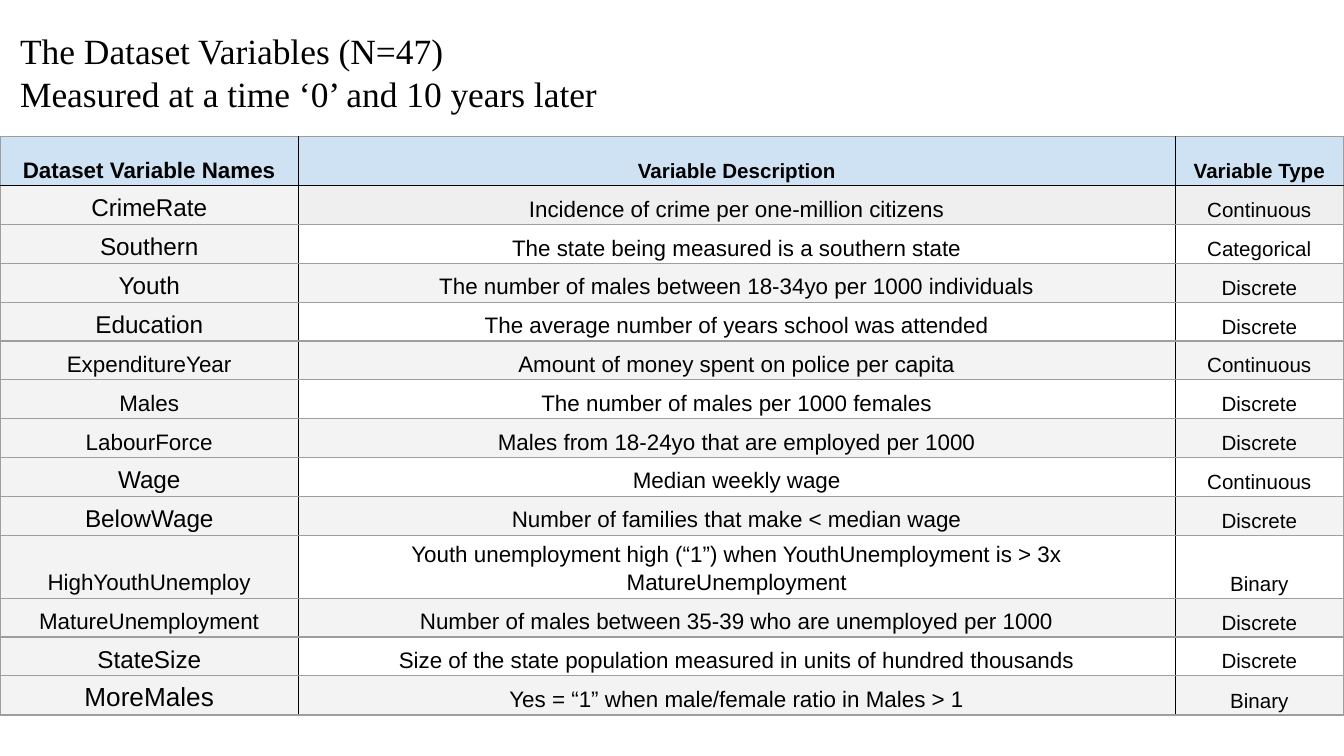
"""Build a slide that lists the variables of a crime dataset in a table."""
from dataclasses import dataclass

from lxml import etree
from pptx import Presentation
from pptx import util as u
from pptx.dml.color import RGBColor
from pptx.enum import text
from pptx.oxml.ns import qn


@dataclass(frozen=True)
class Theme:
    title_font: str = "Times New Roman"
    table_font: str = "Arial"
    ink: str = "000000"
    grid: str = "9E9E9E"
    header: str = "CFE2F3"
    first_row: str = "EFEFEF"
    band: str = "F3F3F3"
    plain: str = "FFFFFF"
    title_size: int = 19
    large: int = 13
    medium: int = 12
    small: int = 11
    last_name: int = 14
    border: float = 0.75


THEME = Theme()
COLUMN_WIDTHS = (5.64, 16.57, 3.18)
HEADER_HEIGHT = 0.93
BODY_HEIGHT = 9.55
HEADINGS = ("Dataset Variable Names", "Variable Description", "Variable Type")
VARIABLES = (
    ("CrimeRate", "Incidence of crime per one-million citizens", "Continuous"),
    ("Southern", "The state being measured is a southern state", "Categorical"),
    ("Youth", "The number of males between 18-34yo per 1000 individuals", "Discrete"),
    ("Education", "The average number of years school was attended", "Discrete"),
    ("ExpenditureYear", "Amount of money spent on police per capita", "Continuous"),
    ("Males", "The number of males per 1000 females", "Discrete"),
    ("LabourForce", "Males from 18-24yo that are employed per 1000", "Discrete"),
    ("Wage", "Median weekly wage", "Continuous"),
    ("BelowWage", "Number of families that make < median wage", "Discrete"),
    ("HighYouthUnemploy",
     "Youth unemployment high (“1”) when YouthUnemployment is > 3x MatureUnemployment",
     "Binary"),
    ("MatureUnemployment", "Number of males between 35-39 who are unemployed per 1000",
     "Discrete"),
    ("StateSize", "Size of the state population measured in units of hundred thousands",
     "Discrete"),
    ("MoreMales", "Yes = “1” when male/female ratio in Males > 1", "Binary"),
)
MEDIUM_NAMES = {"ExpenditureYear", "Males", "LabourForce", "HighYouthUnemploy",
                "MatureUnemployment"}


def write(frame, lines, *, font, size, bold=False, align=text.PP_ALIGN.LEFT, spacing=1.0):
    """Fill a text frame with one formatted paragraph per line."""
    for index, line in enumerate(lines):
        paragraph = frame.add_paragraph() if index else frame.paragraphs[0]
        paragraph.alignment = align
        paragraph.line_spacing = spacing
        run = paragraph.add_run()
        run.text = line
        run.font.name = font
        run.font.size = u.Pt(size)
        run.font.bold = bold
        run.font.color.rgb = RGBColor.from_string(THEME.ink)


def set_borders(cell, colors):
    """Draw the left, right, top and bottom borders of a cell."""
    properties = cell._tc.get_or_add_tcPr()
    for index, (side, color) in enumerate(zip(("lnL", "lnR", "lnT", "lnB"), colors)):
        line = etree.Element(qn(f"a:{side}"), w=str(u.Pt(THEME.border)))
        fill = etree.SubElement(line, qn("a:solidFill"))
        etree.SubElement(fill, qn("a:srgbClr"), val=color)
        properties.insert(index, line)


def cell_fill(row, column):
    """Return the fill colour for a table position."""
    if row == 0:
        return THEME.header
    if column == 0:
        return THEME.band
    if row == 1:
        return THEME.first_row
    return THEME.band if row % 2 else THEME.plain


def cell_size(row, column, value):
    """Return the type size for a table position."""
    if row == 0:
        return THEME.small if column else THEME.medium
    if column:
        return THEME.medium if column == 1 else THEME.small
    if row == len(VARIABLES):
        return THEME.last_name
    return THEME.medium if value in MEDIUM_NAMES else THEME.large


def format_cell(cell, row, column, value):
    """Write and style one table cell."""
    cell.fill.solid()
    cell.fill.fore_color.rgb = RGBColor.from_string(cell_fill(row, column))
    cell.vertical_anchor = text.MSO_ANCHOR.BOTTOM
    cell.margin_left = cell.margin_right = u.Cm(0.07)
    cell.margin_top = cell.margin_bottom = u.Cm(0.05)
    write(cell.text_frame, [value], font=THEME.table_font,
          size=cell_size(row, column, value), bold=row == 0,
          align=text.PP_ALIGN.CENTER, spacing=1.15)
    dark_sides = (column > 0, column < len(HEADINGS) - 1, row == 1, row == 0)
    set_borders(cell, [THEME.ink if dark else THEME.grid for dark in dark_sides])


def add_variable_table(slide):
    """Add the table of dataset variables."""
    rows = (HEADINGS, *VARIABLES)
    row_height = BODY_HEIGHT / len(VARIABLES)
    shape = slide.shapes.add_table(len(rows), len(HEADINGS), u.Cm(0), u.Cm(2.58),
                                   u.Cm(sum(COLUMN_WIDTHS)),
                                   u.Cm(HEADER_HEIGHT + BODY_HEIGHT))
    table = shape.table
    table.horz_banding = False
    for column, width in zip(table.columns, COLUMN_WIDTHS):
        column.width = u.Cm(width)
    for row, values in enumerate(rows):
        table.rows[row].height = u.Cm(row_height if row else HEADER_HEIGHT)
        for column, value in enumerate(values):
            format_cell(table.cell(row, column), row, column, value)


def set_title(slide, lines):
    """Place and write the slide title."""
    title = slide.shapes.title
    title.left, title.top = u.Cm(0.13), u.Cm(0.3)
    title.width, title.height = u.Cm(11.68), u.Cm(2)
    frame = title.text_frame
    frame.word_wrap = True
    frame.auto_size = text.MSO_AUTO_SIZE.NONE
    frame.vertical_anchor = text.MSO_ANCHOR.TOP
    frame.margin_left = frame.margin_right = u.Cm(0.25)
    frame.margin_top = frame.margin_bottom = u.Cm(0.25)
    write(frame, lines, font=THEME.title_font, size=THEME.title_size)


def main():
    """Build and save the presentation."""
    presentation = Presentation()
    presentation.slide_width, presentation.slide_height = u.Cm(25.4), u.Cm(14.29)
    slide = presentation.slides.add_slide(presentation.slide_layouts[5])
    set_title(slide, ["The Dataset Variables (N=47)",
                      "Measured at a time ‘0’ and 10 years later"])
    add_variable_table(slide)
    presentation.save("out.pptx")


main()
